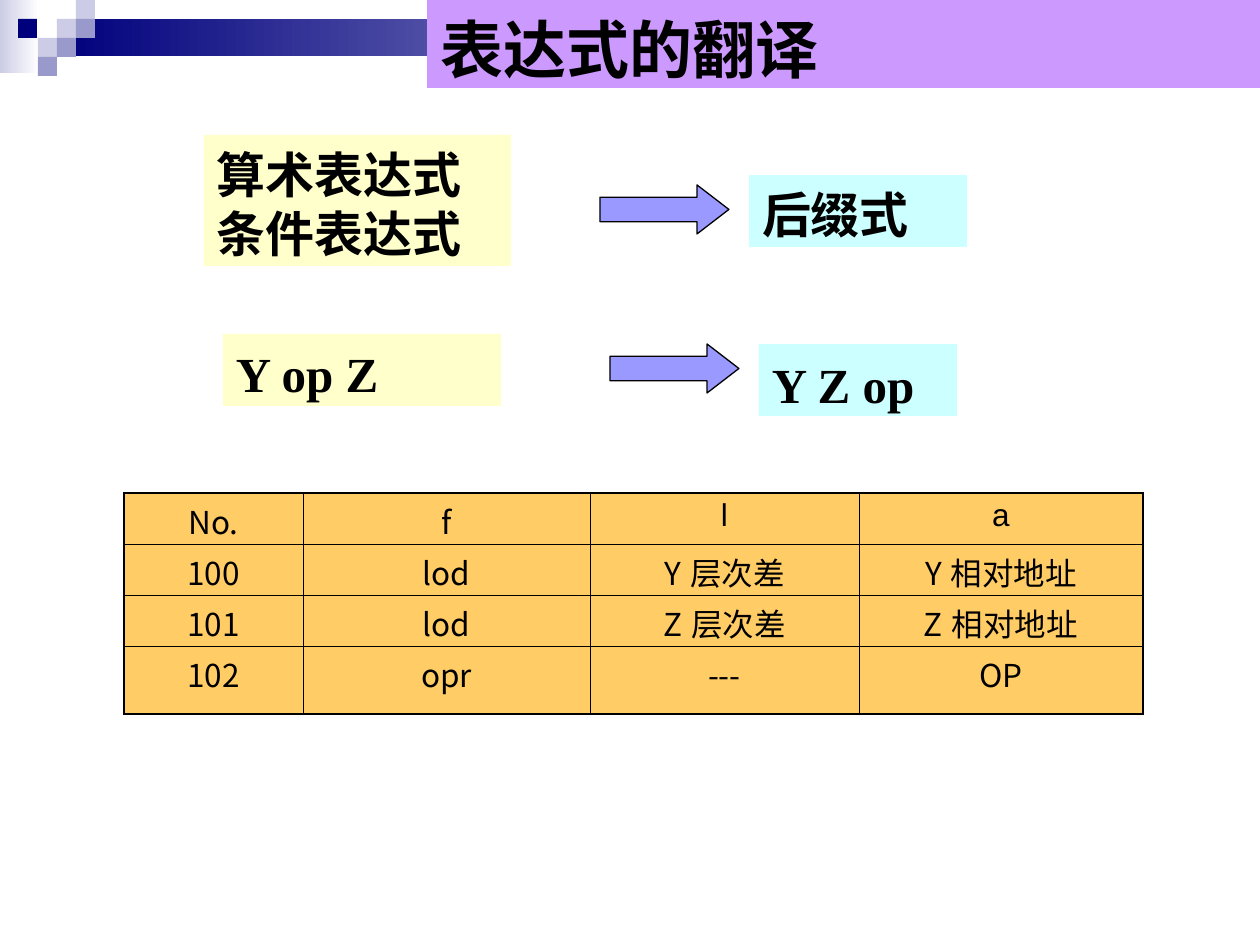
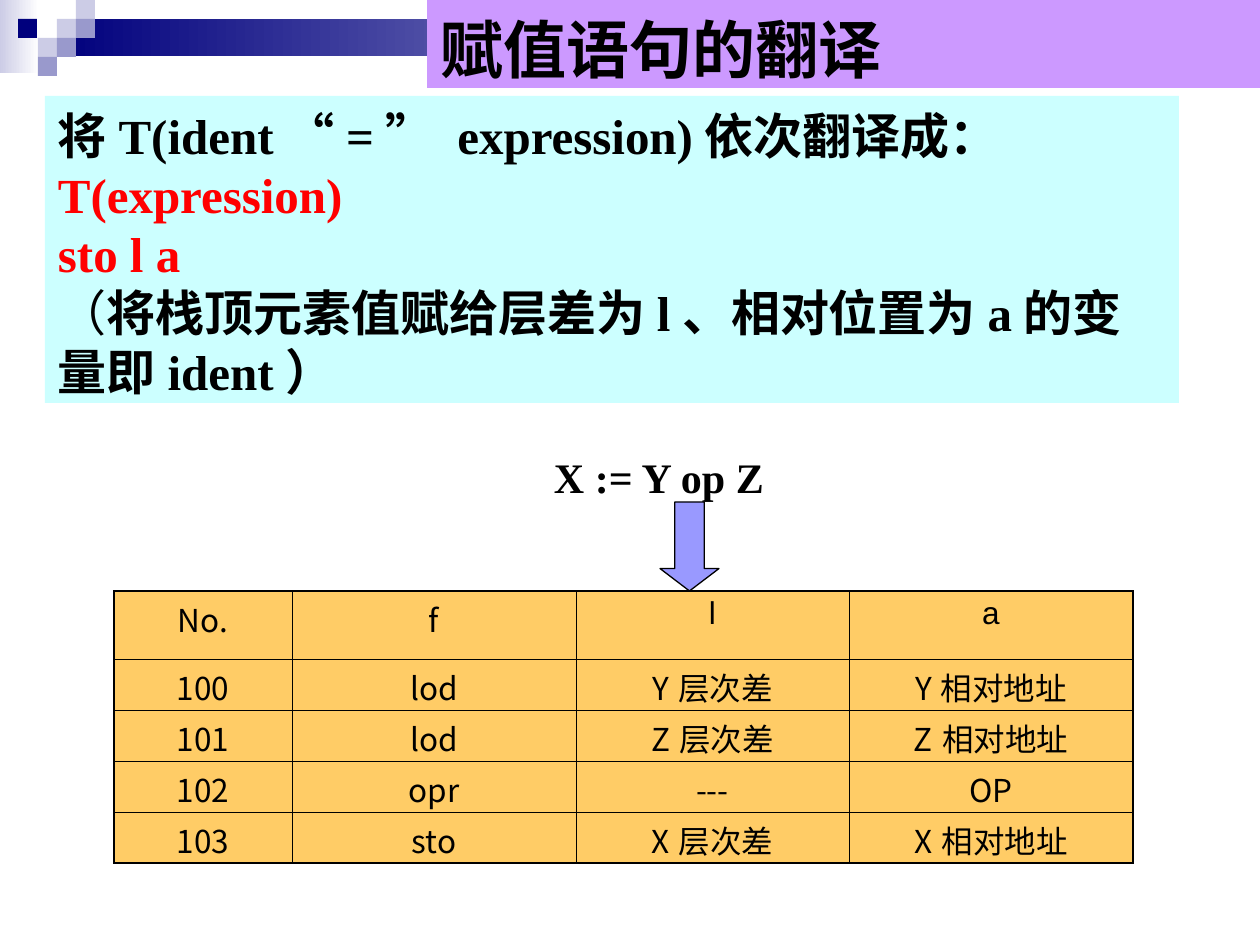
from lxml.etree import SubElement
from pptx import Presentation
from pptx.dml.color import RGBColor
from pptx.enum.shapes import MSO_SHAPE as Preset
from pptx.enum.text import MSO_ANCHOR as Anchor, MSO_AUTO_SIZE as AutoSize, PP_ALIGN as Align
from pptx.oxml.ns import qn
from pptx.util import Pt

EMU_PER_PX = 914400 / 126
TITLE_ONLY = 5

# Shared colours and fonts
BLACK, WHITE, RED = "000000", "FFFFFF", "FF0000"
NAVY, SLATE, PALE = "00007D", "9999CC", "CCCCE6"
VIOLET, YELLOW, CYAN = "CC99FF", "FFFFCC", "CCFFFF"
ORANGE, ARROW_BLUE = "FFCC66", "9999FF"
SERIF, CJK, SANS = "Times New Roman", "Noto Sans CJK SC", "Arial"

# Decoration squares: left, top, colour
STEP = 19
SQUARES = [
    (57, STEP, PALE), (76, 0, PALE), (76, STEP, SLATE),
    (38, 2 * STEP, PALE), (18, STEP, NAVY),
    (57, 2 * STEP, SLATE), (38, 3 * STEP, SLATE),
]

# Instruction rows common to both tables
HEADER = ["No.", "f", "l", "a"]
LOAD_AND_OPERATE = [
    ["100", "lod", "Y层次差", "Y相对地址"],
    ["101", "lod", "Z层次差", "Z相对地址"],
    ["102", "opr", "---", "OP"],
]


def px(length):
    return round(length * EMU_PER_PX)


def rgb(code):
    return RGBColor.from_string(code)


def paint(target, colour):
    target.fill.solid()
    target.fill.fore_color.rgb = rgb(colour)


def write(frame, paragraphs, size=28, font=SERIF, colour=BLACK, bold=True,
          align=Align.LEFT, line_factor=1.2):
    """Each paragraph is a string or a list of (text, format overrides) runs."""
    for index, content in enumerate(paragraphs):
        paragraph = frame.paragraphs[0] if index == 0 else frame.add_paragraph()
        paragraph.alignment = align
        if line_factor:
            paragraph.line_spacing = Pt(round(size * line_factor, 1))
        runs = [(content, {})] if isinstance(content, str) else content
        for text, changes in runs:
            run = paragraph.add_run()
            run.text = text
            run.font.size = Pt(size)
            run.font.bold = changes.get("bold", bold)
            run.font.color.rgb = rgb(changes.get("colour", colour))
            run.font.name = font
            SubElement(run.font._element, qn("a:ea"), typeface=CJK)


def prepare(frame, wrap=True):
    frame.auto_size = AutoSize.NONE
    frame.word_wrap = wrap
    frame.vertical_anchor = Anchor.TOP
    frame.margin_left = frame.margin_right = px(13)
    frame.margin_top, frame.margin_bottom = px(10), 0


def add_block(slide, preset, box, colour=None, outline=None):
    block = slide.shapes.add_shape(preset, *map(px, box))
    block.shadow.inherit = False
    if colour:
        paint(block, colour)
    if outline:
        block.line.color.rgb = rgb(outline)
        block.line.width = Pt(0.75)
    else:
        block.line.fill.background()
    return block


def add_fade(slide, box, start):
    fade = add_block(slide, Preset.RECTANGLE, box)
    fade.fill.gradient()
    fade.fill.gradient_angle = 0
    for stop, colour in zip(fade.fill.gradient_stops, (start, WHITE)):
        stop.color.rgb = rgb(colour)


def add_panel(slide, box, colour, paragraphs):
    panel = add_block(slide, Preset.RECTANGLE, box, colour)
    prepare(panel.text_frame)
    write(panel.text_frame, paragraphs)


def add_arrow(slide, preset, box, head):
    arrow = add_block(slide, preset, box, ARROW_BLUE, BLACK)
    arrow.adjustments[0], arrow.adjustments[1] = 0.5, head


def add_label(slide, box, text, size):
    label = slide.shapes.add_textbox(*map(px, box))
    prepare(label.text_frame, wrap=False)
    write(label.text_frame, [text], size=size)


def set_borders(cell, outer_sides):
    properties = cell._tc.get_or_add_tcPr()
    for position, side in enumerate(("lnL", "lnR", "lnT", "lnB")):
        width = Pt(1.08) if side in outer_sides else Pt(0.45)
        border = properties.makeelement(qn(f"a:{side}"), {"w": str(int(width))})
        SubElement(SubElement(border, qn("a:solidFill")), qn("a:srgbClr"), val=BLACK)
        properties.insert(position, border)


def add_instructions(slide, left, top, widths, heights, rows):
    table = slide.shapes.add_table(
        len(rows), len(widths), px(left), px(top), px(sum(widths)), px(sum(heights))
    ).table
    for column, width in zip(table.columns, widths):
        column.width = px(width)
    for r, (values, height) in enumerate(zip(rows, heights)):
        table.rows[r].height = px(height)
        for c, value in enumerate(values):
            cell = table.cell(r, c)
            paint(cell, ORANGE)
            cell.margin_left = cell.margin_right = px(13)
            cell.margin_top, cell.margin_bottom = px(5), 0
            font = SANS if r == 0 and c >= 2 else CJK
            write(cell.text_frame, [value], size=18, font=font, bold=False,
                  align=Align.CENTER, line_factor=None)
            edges = {"lnL": c == 0, "lnR": c == len(widths) - 1,
                     "lnT": r == 0, "lnB": r == len(rows) - 1}
            set_borders(cell, [side for side, outer in edges.items() if outer])


def add_titled_slide(deck, heading):
    slide = deck.slides.add_slide(deck.slide_layouts[TITLE_ONLY])
    # Band and squares
    add_fade(slide, (0, 0, 39, 73), PALE)
    add_fade(slide, (57, STEP, 1203, 37), NAVY)
    for left, top, colour in SQUARES:
        add_block(slide, Preset.RECTANGLE, (left, top, STEP, STEP), colour)
    # Title, in front of the band
    title = slide.shapes.title
    slide.shapes.element.append(title.element)
    title.left, title.top, title.width, title.height = map(px, (427, 0, 833, 88))
    paint(title, VIOLET)
    prepare(title.text_frame)
    write(title.text_frame, [heading], size=36)
    return slide


def build_expressions(deck):
    slide = add_titled_slide(deck, "表达式的翻译")
    # Infix on the left, postfix on the right
    add_panel(slide, (204, 135, 307, 131), YELLOW, ["算术表达式", "条件表达式"])
    add_arrow(slide, Preset.RIGHT_ARROW, (600, 185, 129, 49), 0.65)
    add_panel(slide, (749, 175, 218, 72), CYAN, ["后缀式"])
    add_panel(slide, (223, 334, 278, 72), YELLOW, ["Y op Z"])
    add_arrow(slide, Preset.RIGHT_ARROW, (610, 344, 129, 49), 0.65)
    add_panel(slide, (759, 344, 198, 72), CYAN, ["Y Z op"])
    # Generated instructions
    add_instructions(slide, 124, 493, (179, 287, 269, 284), (51, 51, 51, 68),
                     [HEADER, *LOAD_AND_OPERATE])


def build_assignment(deck):
    slide = add_titled_slide(deck, "赋值语句的翻译")
    # Translation rule
    add_panel(slide, (45, 96, 1134, 307), CYAN, [
        "将T(ident“=” expression)依次翻译成：",
        [("T(expression)", {"colour": RED})],
        [("sto l a", {"colour": RED})],
        [("（", {"bold": False}),
         ("将栈顶元素值赋给层差为l、相对位置为a的变量即ident）", {})],
    ])
    # Example statement and its instructions
    add_instructions(slide, 114, 591, (178, 284, 273, 284), (68, 51, 51, 51, 51),
                     [HEADER, *LOAD_AND_OPERATE, ["103", "sto", "X层次差", "X相对地址"]])
    add_label(slide, (541, 442, 238, 63), "X := Y op Z", size=24)
    add_arrow(slide, Preset.DOWN_ARROW, (660, 502, 59, 89), 0.38)


def main():
    deck = Presentation()
    deck.slide_width, deck.slide_height = px(1260), px(945)
    build_expressions(deck)
    build_assignment(deck)
    deck.save("out.pptx")


if __name__ == "__main__":
    main()
